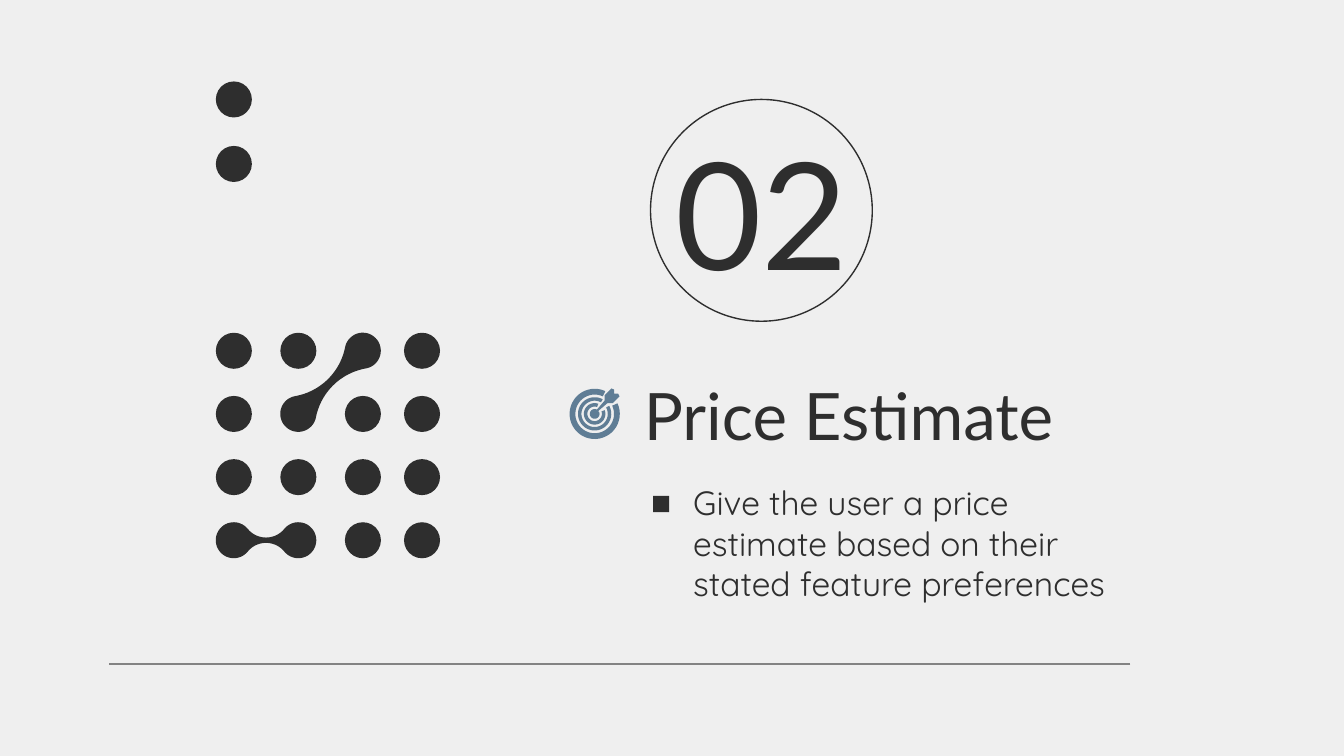
from math import atan2, cos, sin, pi, radians

from pptx import Presentation
from pptx.dml.color import RGBColor
from pptx.enum.shapes import MSO_CONNECTOR as Link, MSO_SHAPE as Form
from pptx.enum.text import MSO_ANCHOR as Anchor, PP_ALIGN as Align
from pptx.oxml.ns import qn
from pptx.util import Inches, Pt
from lxml.etree import SubElement

INK = RGBColor(0x2E, 0x2E, 0x2E)
BLUE = RGBColor(0x5F, 0x7D, 0x95)
GREY = RGBColor(0x83, 0x83, 0x83)
PAPER = RGBColor(0xEF, 0xEF, 0xEF)

deck = Presentation()
deck.slide_width, deck.slide_height = Inches(10), Inches(5.625)
slide = deck.slides.add_slide(deck.slide_layouts[5])
slide.background.fill.solid()
slide.background.fill.fore_color.rgb = PAPER
shapes = slide.shapes


def arc(mid, r, start, end, steps=40):
    """Points, as complex numbers in inches, along a circle's arc."""
    turns = [start + (end - start) * i / steps for i in range(steps + 1)]
    return [mid + r * complex(cos(t), sin(t)) for t in turns]


def paint(shape, color):
    shape.shadow.inherit = False
    shape.fill.solid()
    shape.fill.fore_color.rgb = color
    shape.line.fill.background()


# Base line and number ring
rule = shapes.add_connector(Link.STRAIGHT, Inches(8.41), Inches(4.94),
                            Inches(0.81), Inches(4.94))
rule.line.color.rgb = GREY
rule.line.width = Pt(0.75)
SubElement(rule._element.spPr, qn("a:effectLst"))

ring = shapes.add_shape(Form.OVAL, Inches(4.84), Inches(0.74),
                        Inches(1.65), Inches(1.65))
ring.shadow.inherit = False
ring.fill.background()
ring.line.color.rgb = INK
ring.line.width = Pt(0.75)

# Texts
number = shapes.add_textbox(0, 0, 0, 0)
body = shapes.add_textbox(0, 0, 0, 0)
texts = [
    (number, (4.76, 1.02, 1.82, 1.1), "02", "Lato", 80, Align.CENTER),
    (shapes.title, (4.69, 2.6, 4.31, 0.96), "Price Estimate", "Lato", 35, Align.LEFT),
    (body, (5.06, 3.56, 3.54, 0.96),
     "Give the user a price estimate based on their stated feature preferences",
     "Quicksand", 18, Align.LEFT),
]
for box, place, words, font, size, align in texts:
    box.left, box.top, box.width, box.height = map(Inches, place)
    frame = box.text_frame
    frame.word_wrap = True
    frame.vertical_anchor = Anchor.MIDDLE
    frame.margin_left = frame.margin_right = Inches(0.1)
    frame.margin_top = frame.margin_bottom = Inches(0.1)
    line = frame.paragraphs[0]
    line.alignment = align
    run = line.add_run()
    run.text = words
    run.font.name = font
    run.font.size = Pt(size)
    run.font.color.rgb = INK

mark = shapes.add_shape(Form.RECTANGLE, Inches(4.86), Inches(3.69),
                        Inches(0.12), Inches(0.12))
paint(mark, INK)

# Grid of dots; the linked cells are left free
R = 0.134
cols = [1.74, 2.22, 2.7, 3.14]
rows = [2.61 + 0.47 * i for i in range(4)]
links = [((2, 0), (1, 1), 0.03), ((0, 3), (1, 3), 0.02)]
taken = [cell for a, b, _ in links for cell in (a, b)]
dots = [(x, y) for j, y in enumerate(rows) for i, x in enumerate(cols)
        if (i, j) not in taken]
dots += [(cols[0], 0.74), (cols[0], 1.22)]
for x, y in dots:
    dot = shapes.add_shape(Form.OVAL, Inches(x - R), Inches(y - R),
                           Inches(2 * R), Inches(2 * R))
    paint(dot, INK)

# Two dots joined by a neck whose sides are arcs tangent to both
outlines = []
for (i, j), (k, m), waist in links:
    head, tail = complex(cols[i], rows[j]), complex(cols[k], rows[m])
    gap = abs(tail - head)
    half = gap / 2
    bend = (half ** 2 + waist ** 2 - R ** 2) / (2 * (R - waist))
    rise = bend + waist
    turn = atan2(rise, half)
    edge = (arc(0, R, turn, 2 * pi - turn)
            + arc(complex(half, -rise), bend, pi - turn, turn)
            + arc(gap, R, turn - pi, pi - turn)
            + arc(complex(half, rise), bend, -turn, turn - pi))
    outlines.append(([head + p * (tail - head) / gap for p in edge], INK))

# Target: open rings, then the arrow with its tip in the bull's eye
hub = complex(4.425, 3.08)
for outer, inner, start, end in [(0.124, 0.098, -29, 299),
                                 (0.08, 0.054, -20, 290),
                                 (0.187, 0.144, -25, 295)]:
    a, b = radians(start), radians(end)
    outlines.append((arc(hub, outer, a, b) + arc(hub, inner, b, a), BLUE))
arrow = [(4.44, 3.05), (4.5, 2.98), (4.5, 2.94), (4.55, 2.89), (4.57, 2.9),
         (4.57, 2.93), (4.6, 2.93), (4.61, 2.95), (4.56, 3), (4.52, 3),
         (4.45, 3.06)]
eye = arc(hub, 0.036, radians(-25), radians(295))
outlines.append((eye + [complex(x, y) for x, y in arrow], BLUE))

for edge, color in outlines:
    pts = [(Inches(p.real), Inches(p.imag)) for p in edge]
    pen = shapes.build_freeform(*pts[0])
    pen.add_line_segments(pts[1:], close=True)
    paint(pen.convert_to_shape(), color)

deck.save("out.pptx")
